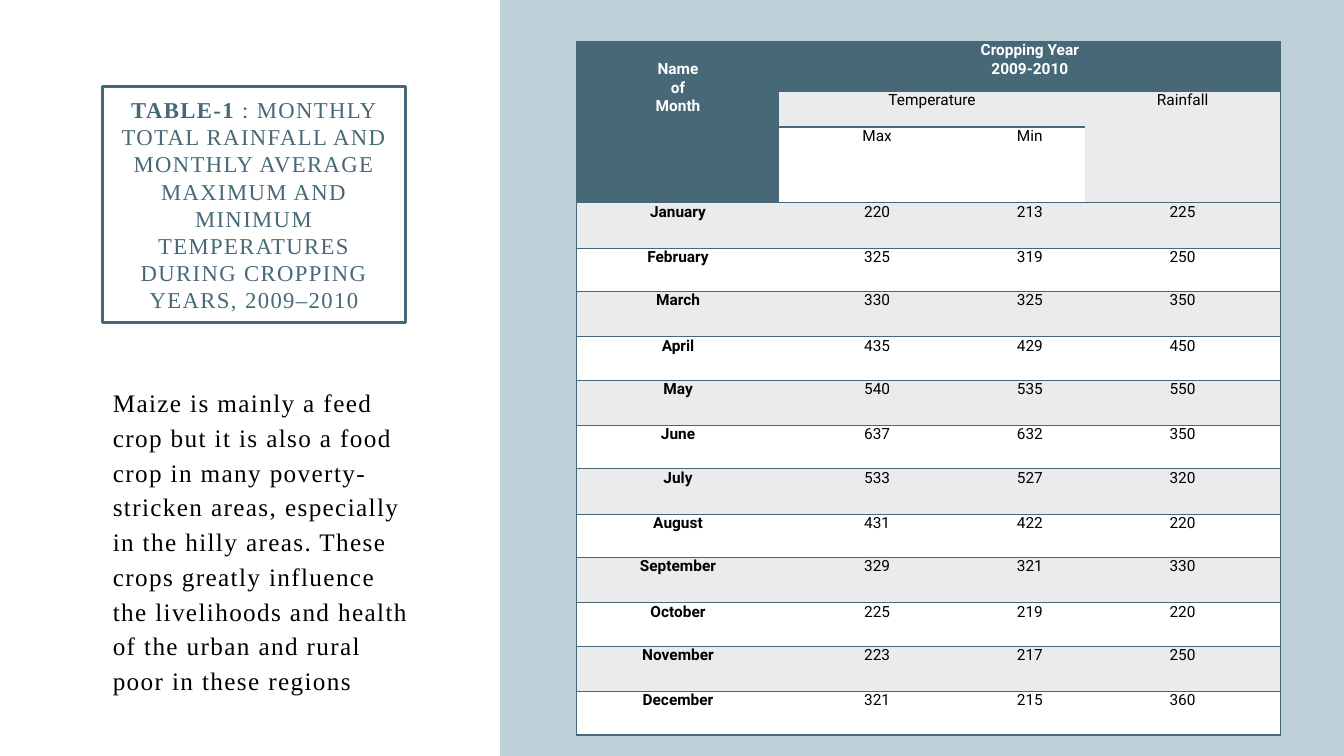
import pptx
import pptx.dml.color
import pptx.enum.shapes
import pptx.enum.text
import pptx.oxml
import pptx.oxml.ns
import pptx.util
from pptx.util import Inches

TEAL, PALE_BLUE = "476977", "AFC6CF"
GREY, WHITE, BLACK = "E9EBEC", "FFFFFF", "000000"
SERIF, SANS = "Times New Roman", "Roboto"
NO_GRID_STYLE = "{2D5ABB26-0587-4C30-8999-92F81FD0307C}"

COLUMN_WIDTHS = [2.01, 1.94, 1.09, 1.94]
HEADER_HEIGHTS = [0.5, 0.35, 0.35]
MONTH_HEIGHTS = [0.45, 0.43]

# Month, maximum temperature, minimum temperature, rainfall
MONTHS = [
    ("January", 220, 213, 225),
    ("February", 325, 319, 250),
    ("March", 330, 325, 350),
    ("April", 435, 429, 450),
    ("May", 540, 535, 550),
    ("June", 637, 632, 350),
    ("July", 533, 527, 320),
    ("August", 431, 422, 220),
    ("September", 329, 321, 330),
    ("October", 225, 219, 220),
    ("November", 223, 217, 250),
    ("December", 321, 215, 360),
]

# Row, column, row span, column span, text, fill, font colour, bold
HEADERS = [
    (0, 0, 3, 1, "Name\nof\nMonth", TEAL, WHITE, True),
    (0, 1, 1, 3, "Cropping Year\n2009-2010", TEAL, WHITE, True),
    (1, 1, 1, 2, "Temperature", GREY, BLACK, False),
    (1, 3, 2, 1, "Rainfall", GREY, BLACK, False),
    (2, 1, 1, 1, "Max", WHITE, BLACK, False),
    (2, 2, 1, 1, "Min", WHITE, BLACK, False),
]


def rgb(color):
    return pptx.dml.color.RGBColor.from_string(color)


def style_font(font, name, size, color):
    font.name = name
    font.size = pptx.util.Pt(size)
    font.color.rgb = rgb(color)


def space_letters(paragraph, points):
    properties = paragraph._p.get_or_add_pPr().get_or_add_defRPr()
    properties.set("spc", str(points * 100))


def add_rectangle(slide, left, top, width, height):
    shape = slide.shapes.add_shape(
        pptx.enum.shapes.MSO_SHAPE.RECTANGLE,
        Inches(left), Inches(top), Inches(width), Inches(height))
    shape.shadow.inherit = False
    return shape


def add_panel(slide):
    panel = add_rectangle(slide, 4.96, 0, 8.38, 7.5)
    panel.fill.solid()
    panel.fill.fore_color.rgb = rgb(PALE_BLUE)
    panel.line.fill.background()
    color = panel.element.spPr.find(".//" + pptx.oxml.ns.qn("a:srgbClr"))
    color.append(pptx.oxml.parse_xml(
        f'<a:alpha {pptx.oxml.ns.nsdecls("a")} val="80000"/>'))


def add_title(slide, label, wording):
    box = add_rectangle(slide, 1.02, 0.86, 3, 2.34)
    box.fill.background()
    box.line.color.rgb = rgb(TEAL)
    box.line.width = pptx.util.Pt(2.25)
    box.text_frame.word_wrap = True
    box.text_frame.vertical_anchor = pptx.enum.text.MSO_ANCHOR.MIDDLE
    paragraph = box.text_frame.paragraphs[0]
    paragraph.alignment = pptx.enum.text.PP_ALIGN.CENTER
    style_font(paragraph.font, SERIF, 16.2, TEAL)
    space_letters(paragraph, 1)
    for text, bold in ((label, True), (wording, False)):
        run = paragraph.add_run()
        run.text = text
        run.font.bold = bold


def add_body(slide, text):
    box = slide.shapes.add_textbox(
        Inches(1.02), Inches(3.75), Inches(3.19), Inches(3.2))
    box.text_frame.word_wrap = True
    paragraph = box.text_frame.paragraphs[0]
    paragraph.text = text
    paragraph.line_spacing = 1.15
    paragraph.space_after = pptx.util.Pt(6)
    style_font(paragraph.font, SERIF, 18, BLACK)
    space_letters(paragraph, 1)


def add_borders(cell, sides):
    properties = cell._tc.get_or_add_tcPr()
    for side in sides:
        properties.append(pptx.oxml.parse_xml(
            f'<a:ln{side} {pptx.oxml.ns.nsdecls("a")} w="12700"><a:solidFill>'
            f'<a:srgbClr val="{TEAL}"/></a:solidFill></a:ln{side}>'))


def fill_cell(table, row, column, column_span, text, fill, color, bold):
    cell = table.cell(row, column)
    at_right = column + column_span == len(COLUMN_WIDTHS)
    add_borders(cell, "L" * (column == 0) + "R" * at_right + "TB")
    cell.fill.solid()
    cell.fill.fore_color.rgb = rgb(fill)
    cell.margin_left = cell.margin_right = Inches(0.07)
    cell.margin_top = cell.margin_bottom = 0
    cell.text_frame.text = text
    for paragraph in cell.text_frame.paragraphs:
        paragraph.alignment = pptx.enum.text.PP_ALIGN.CENTER
        paragraph.space_before = pptx.util.Pt(0.4)
        style_font(paragraph.font, SANS, 11, color)
        paragraph.font.bold = bold


def add_climate_table(slide):
    heights = HEADER_HEIGHTS + MONTH_HEIGHTS * (len(MONTHS) // 2)
    frame = slide.shapes.add_table(
        len(heights), len(COLUMN_WIDTHS), Inches(5.72), Inches(0.41),
        Inches(sum(COLUMN_WIDTHS)), Inches(sum(heights)))
    table = frame.table
    table.first_row = table.horz_banding = False
    style = frame.element.find(".//" + pptx.oxml.ns.qn("a:tableStyleId"))
    style.text = NO_GRID_STYLE
    for column, width in zip(table.columns, COLUMN_WIDTHS):
        column.width = Inches(width)
    for row, height in zip(table.rows, heights):
        row.height = Inches(height)

    # Header cells
    for row, column, row_span, column_span, *content in HEADERS:
        if row_span > 1 or column_span > 1:
            table.cell(row, column).merge(
                table.cell(row + row_span - 1, column + column_span - 1))
        fill_cell(table, row, column, column_span, *content)
    table.cell(0, 0).margin_top = Inches(0.19)

    # Month rows in alternating fills
    for index, values in enumerate(MONTHS):
        fill = WHITE if index % 2 else GREY
        for column, value in enumerate(values):
            fill_cell(table, index + len(HEADER_HEIGHTS), column, 1,
                      str(value), fill, BLACK, column == 0)


def main():
    presentation = pptx.Presentation()
    presentation.slide_width = Inches(13.33)
    presentation.slide_height = Inches(7.5)
    slide = presentation.slides.add_slide(presentation.slide_layouts[6])

    add_panel(slide)
    add_title(slide, "TABLE-1",
              " : MONTHLY TOTAL RAINFALL AND MONTHLY AVERAGE MAXIMUM AND "
              "MINIMUM TEMPERATURES DURING CROPPING YEARS, 2009–2010")
    add_body(slide,
             "Maize is mainly a feed crop but it is also a food crop in many "
             "poverty-stricken areas, especially in the hilly areas. These "
             "crops greatly influence the livelihoods and health of the "
             "urban and rural poor in these regions")
    add_climate_table(slide)
    presentation.save("out.pptx")


if __name__ == "__main__":
    main()
